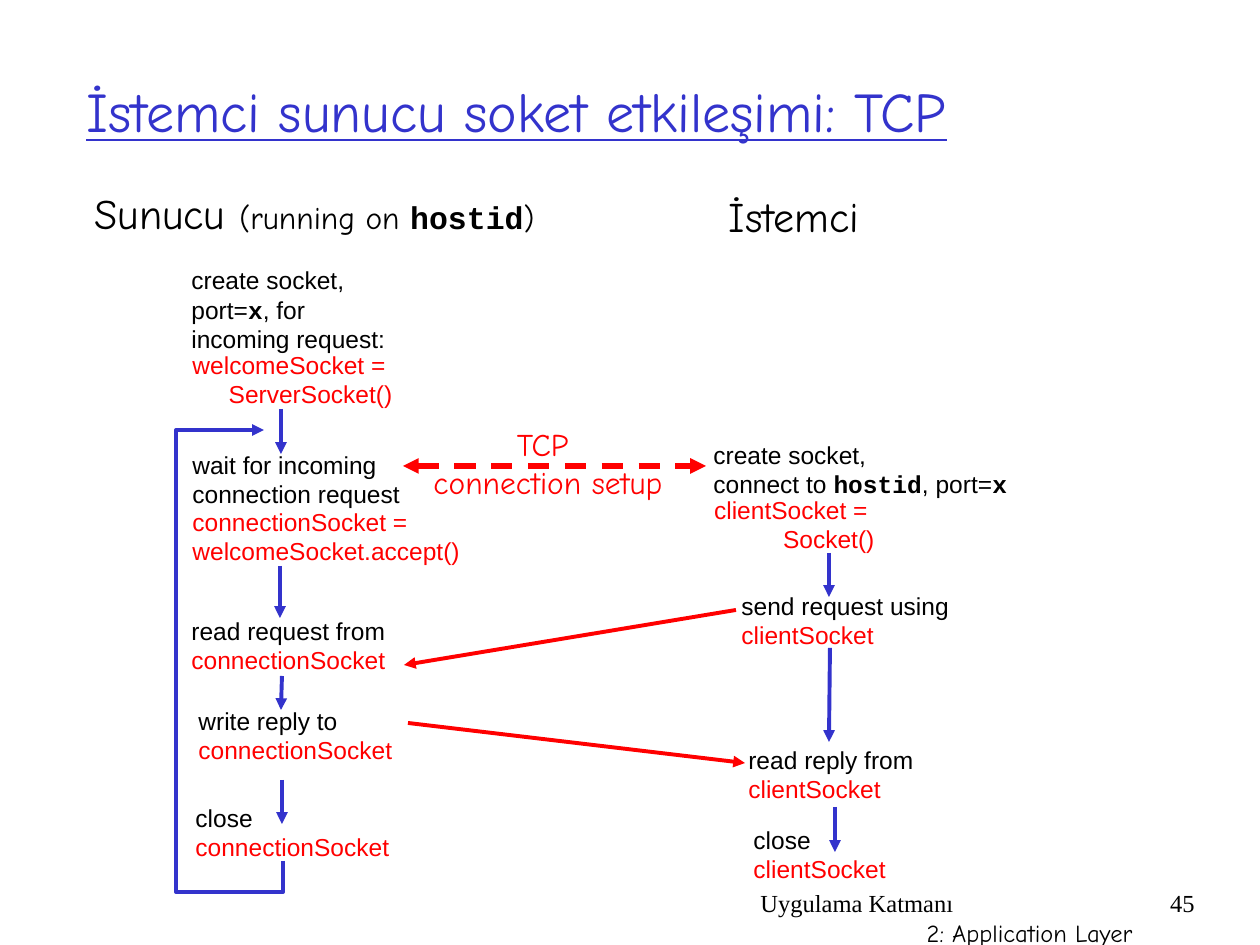
from lxml.etree import SubElement
from pptx import Presentation
from pptx.dml.color import RGBColor
from pptx.enum.dml import MSO_LINE
from pptx.enum.shapes import MSO_CONNECTOR
from pptx.enum.text import MSO_ANCHOR, MSO_AUTO_SIZE, PP_ALIGN
from pptx.oxml.ns import qn
from pptx.util import Pt

SCALE = 914400 / 126  # EMU in one px
BLUE, RED, BLACK = "3333CC", "FF0000", "000000"
COMIC, SERIF, SANS, MONO = "Comic Neue", "Times New Roman", "Arial", "Courier New"
LEFT, MID, RIGHT = PP_ALIGN.LEFT, PP_ALIGN.CENTER, PP_ALIGN.RIGHT


def px(n):
    return round(n * SCALE)


def color(code):
    return RGBColor.from_string(code)


def add_text(slide, box, lines, font=SANS, size=14, align=LEFT, wrap=False,
             anchor=MSO_ANCHOR.MIDDLE):
    """Each line is (words, hex); words between backticks are bold code."""
    frame = slide.shapes.add_textbox(*map(px, box)).text_frame
    frame.word_wrap = wrap
    frame.auto_size = MSO_AUTO_SIZE.NONE if wrap else MSO_AUTO_SIZE.SHAPE_TO_FIT_TEXT
    frame.vertical_anchor = anchor
    for i, (words, code) in enumerate(lines):
        para = frame.add_paragraph() if i else frame.paragraphs[0]
        para.alignment = align
        para.font.name = font
        para.font.size = Pt(size)
        para.font.color.rgb = color(code)
        for j, part in enumerate(words.split("`")):
            if part:
                run = para.add_run()
                run.text = part
                if j % 2:
                    run.font.name = MONO
                    run.font.bold = True
    return frame.paragraphs


def style_line(shape, code, width, ends, dash=None):
    shape.line.color.rgb = color(code)
    shape.line.width = Pt(width)
    if dash:
        shape.line.dash_style = dash
    props = shape.element.spPr
    for end in ends:
        SubElement(props.find(qn("a:ln")), qn(f"a:{end}"), type="triangle")
    return props


def add_arrow(slide, start, stop, code=BLUE, width=2.25, ends=("tailEnd",), dash=None):
    line = slide.shapes.add_connector(
        MSO_CONNECTOR.STRAIGHT, *map(px, (*start, *stop)))
    props = style_line(line, code, width, ends, dash)
    SubElement(props, qn("a:effectLst"))


def add_loop(slide, points):
    first, *rest = [(px(x), px(y)) for x, y in points]
    path = slide.shapes.build_freeform(*first)
    path.add_line_segments(rest, close=False)
    loop = path.convert_to_shape()
    loop.shadow.inherit = False
    loop.fill.background()
    style_line(loop, BLUE, 2.25, ("tailEnd",))


def add_heads(slide):
    title = add_text(slide, (74, 32, 1071, 157),
                     [("İstemci sunucu soket etkileşimi: TCP", BLUE)],
                     COMIC, 32, wrap=True)
    title[0].font.underline = True
    server = add_text(slide, (82, 181, 465, 63),
                      [("Sunucu ``(running on `hostid`)", BLACK)], COMIC, 18, MID)
    server[0].runs[0].font.size = Pt(24)
    add_text(slide, (716, 184, 156, 63), [("İstemci", BLACK)], COMIC, 24, MID)


def add_steps(slide):
    # Plain step above the socket it uses
    for box, step, socket in (
        ((183, 796, 219, 72), "close", "connectionSocket"),
        ((736, 738, 190, 72), "read reply from", "clientSocket"),
        ((741, 818, 158, 72), "close", "clientSocket"),
        ((729, 584, 233, 72), "send request using", "clientSocket"),
        ((179, 609, 219, 72), "read request from", "connectionSocket"),
        ((186, 699, 219, 72), "write reply to", "connectionSocket"),
    ):
        add_text(slide, box, [(step, BLACK), (socket, RED)])

    # Longer steps, and the calls below them
    for box, lines, code, align in (
        ((179, 259, 219, 101), ("create socket,", "port=`x`, for", "incoming request:"),
         BLACK, LEFT),
        ((179, 343, 226, 72), ("welcomeSocket = ", "ServerSocket()"), RED, RIGHT),
        ((180, 443, 240, 72), ("wait for incoming", "connection request"), BLACK, LEFT),
        ((180, 500, 310, 72), ("connectionSocket =", "welcomeSocket.accept()"), RED, LEFT),
        ((701, 433, 325, 72), ("create socket,", "connect to `hostid`, port=`x`"),
         BLACK, LEFT),
        ((697, 488, 190, 72), ("clientSocket = ", "Socket()"), RED, RIGHT),
    ):
        add_text(slide, box, [(words, code) for words in lines], align=align)


def add_flow(slide):
    # Steps down each side
    for start, stop in (
        ((281, 409), (281, 454)), ((280, 566), (280, 618)),
        ((282, 676), (281, 710)), ((282, 780), (282, 824)),
        ((829, 553), (829, 597)), ((830, 648), (829, 742)),
        ((835, 807), (835, 852)),
    ):
        add_arrow(slide, start, stop)
    add_loop(slide, [(283, 861), (283, 892), (176, 892), (176, 430), (264, 430)])

    # Messages between the sides
    add_arrow(slide, (736, 610), (404, 665), RED)
    add_arrow(slide, (408, 723), (745, 763), RED)
    add_arrow(slide, (403, 466), (706, 466), RED, 3, ("headEnd", "tailEnd"),
              MSO_LINE.DASH)
    add_text(slide, (421, 419, 254, 88), [("TCP ", RED), ("connection setup", RED)],
             COMIC, 18, MID)


def add_footer(slide):
    top = MSO_ANCHOR.TOP
    chapter = add_text(slide, (748, 882, 397, 63),
                       [("Uygulama Katmanı", BLACK), ("2: Application Layer", BLACK)],
                       SERIF, wrap=True, anchor=top)
    chapter[1].font.name = COMIC
    chapter[1].alignment = RIGHT
    add_text(slide, (1144, 882, 63, 63), [("45", BLACK)], SERIF, align=RIGHT,
             wrap=True, anchor=top)


def main():
    deck = Presentation()
    deck.slide_width, deck.slide_height = px(1260), px(945)
    slide = deck.slides.add_slide(deck.slide_layouts[6])
    add_footer(slide)
    add_heads(slide)
    add_steps(slide)
    add_flow(slide)
    deck.save("out.pptx")


if __name__ == "__main__":
    main()
